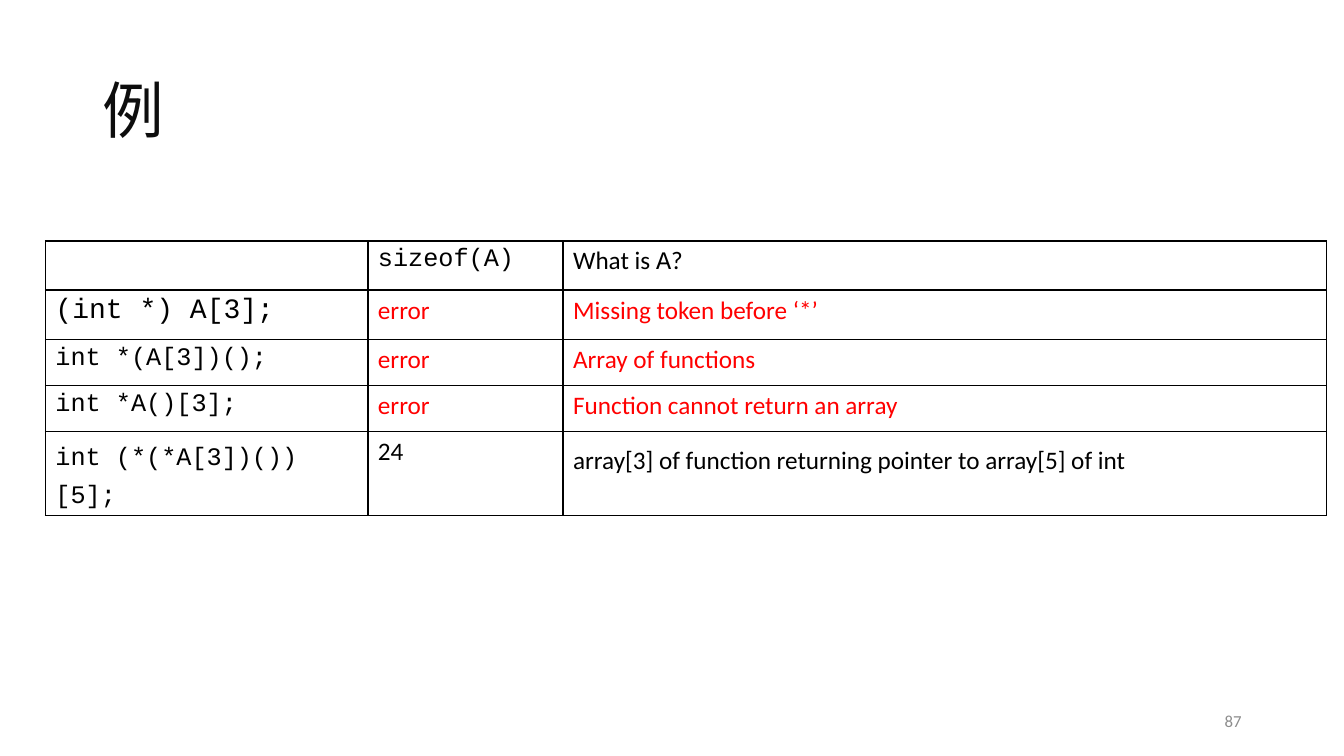
from lxml.etree import SubElement
from pptx import Presentation
from pptx.dml.color import RGBColor
from pptx.enum.text import MSO_ANCHOR, PP_ALIGN
from pptx.oxml.ns import qn
from pptx.util import Pt

TITLE = "例"
PAGE_NUMBER = "87"
HEADINGS = ("", "sizeof(A)", (("What is ", "sans"), ("A", "mono"), ("?", "sans")))
DECLARATIONS = [
    ("(int *) A[3];", "error", "Missing token before ‘*’"),
    ("int *(A[3])();", "error", "Array of functions"),
    ("int *A()[3];", "error", "Function cannot return an array"),
    ("int (*(*A[3])())[5];", "24", "array[3] of function returning pointer to array[5] of int"),
]
THEME = {
    "sans": "Calibri", "mono": "Courier New",
    "ink": "000000", "error": "FF0000", "heading": "0D0D0D", "muted": "8C8C8C",
    "title_size": 44, "large_size": 20, "cell_size": 18, "page_size": 12,
}
COLUMN_WIDTHS = (230.4, 139.4, 545.6)
ROW_HEIGHTS = (35.1, 35.1, 32.9, 32.9, 32.9)
TABLE_LEFT, TABLE_TOP = 32.4, 172.1


def write(frame, text, *, font="sans", size="cell_size", color="ink",
          align=PP_ALIGN.LEFT, spacing=None):
    """Fill a frame with a string, or with (string, font) pairs, in one format."""
    paragraph = frame.paragraphs[0]
    paragraph.alignment = align
    if spacing:
        paragraph.line_spacing = spacing
    for words, face in ((text, font),) if isinstance(text, str) else text:
        run = paragraph.add_run()
        run.text = words
        run.font.name = THEME[face]
        run.font.size = Pt(THEME[size])
        run.font.bold = False
        run.font.color.rgb = RGBColor.from_string(THEME[color])


def rule_cell(cell):
    """Draw a thin line on all four sides of a cell and clear its fill."""
    properties = cell._tc.get_or_add_tcPr()
    for side in ("a:lnL", "a:lnR", "a:lnT", "a:lnB"):
        line = SubElement(properties, qn(side), w=str(Pt(1)))
        SubElement(SubElement(line, qn("a:solidFill")), qn("a:srgbClr"), val=THEME["ink"])
    cell.fill.background()


def add_declarations(slide):
    """Add the table of declarations, their sizes and their meanings."""
    rows = [HEADINGS, *DECLARATIONS]
    table = slide.shapes.add_table(
        len(rows), len(COLUMN_WIDTHS), Pt(TABLE_LEFT), Pt(TABLE_TOP),
        Pt(sum(COLUMN_WIDTHS)), Pt(sum(ROW_HEIGHTS))).table
    table.first_row = table.horz_banding = False
    for column, width in zip(table.columns, COLUMN_WIDTHS):
        column.width = Pt(width)
    for row, height in zip(table.rows, ROW_HEIGHTS):
        row.height = Pt(height)
    last = len(rows) - 1
    for r, entries in enumerate(rows):
        for c, entry in enumerate(entries):
            cell = table.cell(r, c)
            rule_cell(cell)
            if entry:
                write(cell.text_frame, entry,
                      font="mono" if c == 0 or r == 0 else "sans",
                      size="large_size" if (r, c) == (1, 0) else "cell_size",
                      color="error" if c > 0 and entries[1] == "error" else "ink",
                      spacing=1.3 if r == last and c != 1 else None)


def main():
    """Build the slide and save it."""
    deck = Presentation()
    deck.slide_width, deck.slide_height = Pt(960), Pt(540)
    slide = deck.slides.add_slide(deck.slide_layouts[5])

    title = slide.shapes.title
    title.left, title.top, title.width, title.height = Pt(66), Pt(28.8), Pt(828), Pt(104.4)
    title.text_frame.vertical_anchor = MSO_ANCHOR.MIDDLE
    write(title.text_frame, TITLE, font="mono", size="title_size", color="heading", spacing=0.9)

    add_declarations(slide)

    page = slide.shapes.add_textbox(Pt(678), Pt(500.5), Pt(216), Pt(28.8)).text_frame
    page.word_wrap = True
    page.vertical_anchor = MSO_ANCHOR.MIDDLE
    write(page, PAGE_NUMBER, size="page_size", color="muted", align=PP_ALIGN.RIGHT)

    deck.save("out.pptx")


if __name__ == "__main__":
    main()
